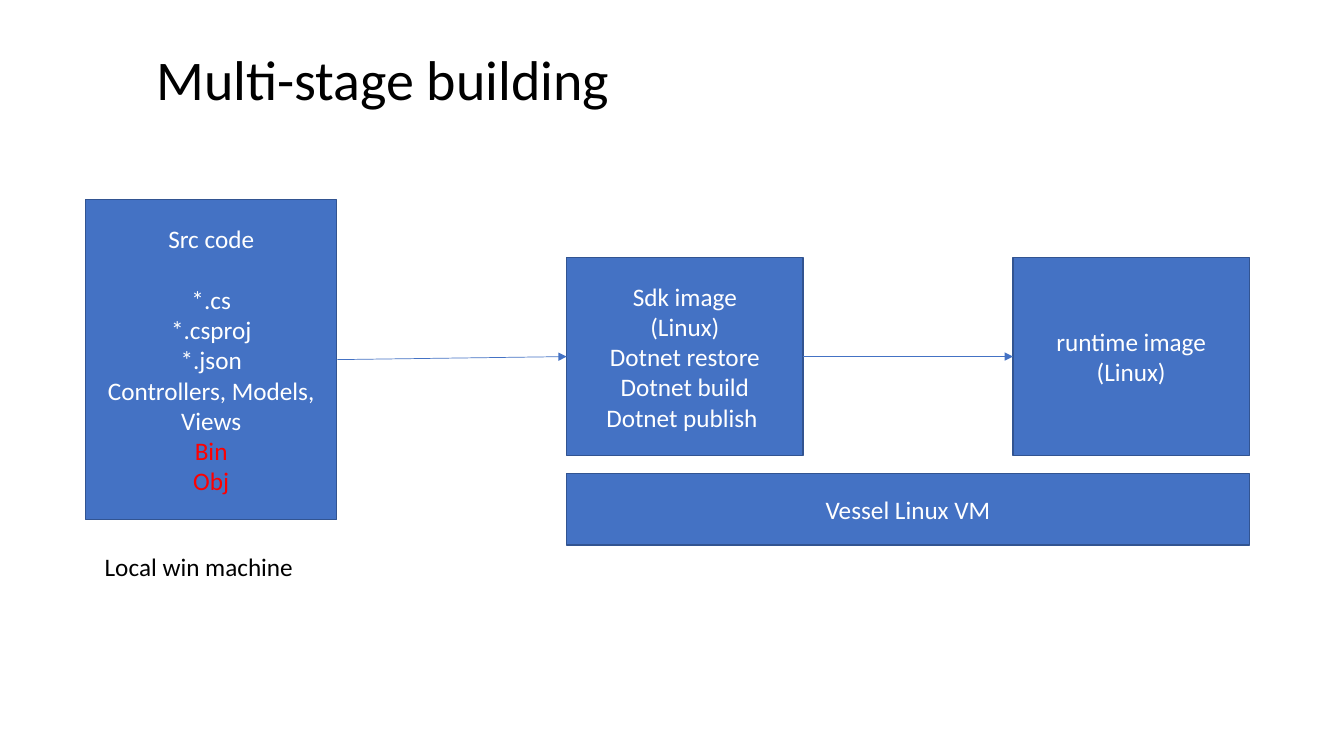
from pptx import Presentation
from pptx import util as u
from pptx.dml.color import RGBColor
from pptx.enum import shapes, text
from pptx.oxml.ns import qn
from lxml import etree

Pt = u.Pt
HUES = {"fill": "4472C4", "edge": "325491", "light": "FFFFFF",
        "dark": "000000", "warn": "FF0000"}
LEFT, MID = text.PP_ALIGN.LEFT, text.PP_ALIGN.CENTER
TOP, CORE = text.MSO_ANCHOR.TOP, text.MSO_ANCHOR.MIDDLE


def hue(name):
    return RGBColor.from_string(HUES[name])


def put(item, vals):
    for key, val in vals.items():
        setattr(item, key, val)


def place(item, box):
    put(item, dict(zip(("left", "top", "width", "height"), map(Pt, box))))


def write(frame, lines, tint, size=18, align=MID, anchor=CORE):
    """Fill a frame; a line is a string or a (string, format) pair."""
    put(frame, {"word_wrap": True, "vertical_anchor": anchor,
                "auto_size": text.MSO_AUTO_SIZE.NONE})
    for i, line in enumerate(lines):
        words, form = line if isinstance(line, tuple) else (line, {})
        para = frame.paragraphs[0] if i == 0 else frame.add_paragraph()
        put(para, {"alignment": align, "space_before": Pt(form.get("gap", 0))})
        run = para.add_run()
        run.text = words
        put(run.font, {"name": "Calibri", "size": Pt(size)})
        run.font.color.rgb = hue(form.get("tint", tint))


def head(slide, box):
    title = slide.shapes.title
    place(title, box)
    write(title.text_frame, ["Multi-stage building"], "dark", 40, LEFT, TOP)


def block(slide, box, lines):
    rect = slide.shapes.add_shape(shapes.MSO_SHAPE.RECTANGLE, *map(Pt, box))
    rect.shadow.inherit = False
    rect.fill.solid()
    rect.fill.fore_color.rgb = hue("fill")
    rect.line.color.rgb = hue("edge")
    rect.line.width = Pt(1)
    write(rect.text_frame, lines, "light")
    return rect


def arrow(slide, start, end):
    """Join the right side of one block to the left side of the next."""
    link = slide.shapes.add_connector(shapes.MSO_CONNECTOR.STRAIGHT, 0, 0, 0, 0)
    link.begin_connect(start, 3)
    link.end_connect(end, 1)
    link.line.color.rgb = hue("fill")
    link.line.width = Pt(0.5)
    # Arrowhead, and no shadow
    edge = link._element.spPr.find(qn("a:ln"))
    etree.SubElement(edge, qn("a:tailEnd"), type="triangle")
    etree.SubElement(link._element.spPr, qn("a:effectLst"))


def local(slide, box):
    """Source block with its caption below."""
    x, y, w, h = box
    code = block(slide, box, [
        "Src code", ("*.cs", {"gap": 22}), "*.csproj", "*.json",
        "Controllers, Models, Views",
        ("Bin", {"tint": "warn"}), ("Obj", {"tint": "warn"})])
    note = slide.shapes.add_textbox(
        Pt(x + 6.5), Pt(y + h + 18.7), Pt(252.7), Pt(29))
    write(note.text_frame, ["Local win machine"], "dark", align=LEFT, anchor=TOP)
    return code


def host(slide, box):
    """Two images at the ends of the box, above the machine they run on."""
    x, y, w, h = box
    wide, tall, base = 168.8, 141.8, 51.1
    sdk = block(slide, (x, y, wide, tall), [
        "Sdk image", "(Linux)", "Dotnet restore", "Dotnet build",
        "Dotnet publish "])
    final = block(slide, (x + w - wide, y, wide, tall),
                  ["runtime image", "(Linux)"])
    block(slide, (x, y + h - base, w, base), ["Vessel Linux VM"])
    return sdk, final


def main():
    deck = Presentation()
    put(deck, {"slide_width": Pt(960), "slide_height": Pt(540)})
    slide = deck.slides.add_slide(deck.slide_layouts[5])
    head(slide, (104.4, 28.5, 511.2, 55.4))
    code = local(slide, (61.2, 142.5, 179.3, 228.8))
    sdk, final = host(slide, (404.8, 183.8, 487.6, 205.6))
    # Build flow
    for start, end in ((code, sdk), (sdk, final)):
        arrow(slide, start, end)
    deck.save("out.pptx")


if __name__ == "__main__":
    main()
